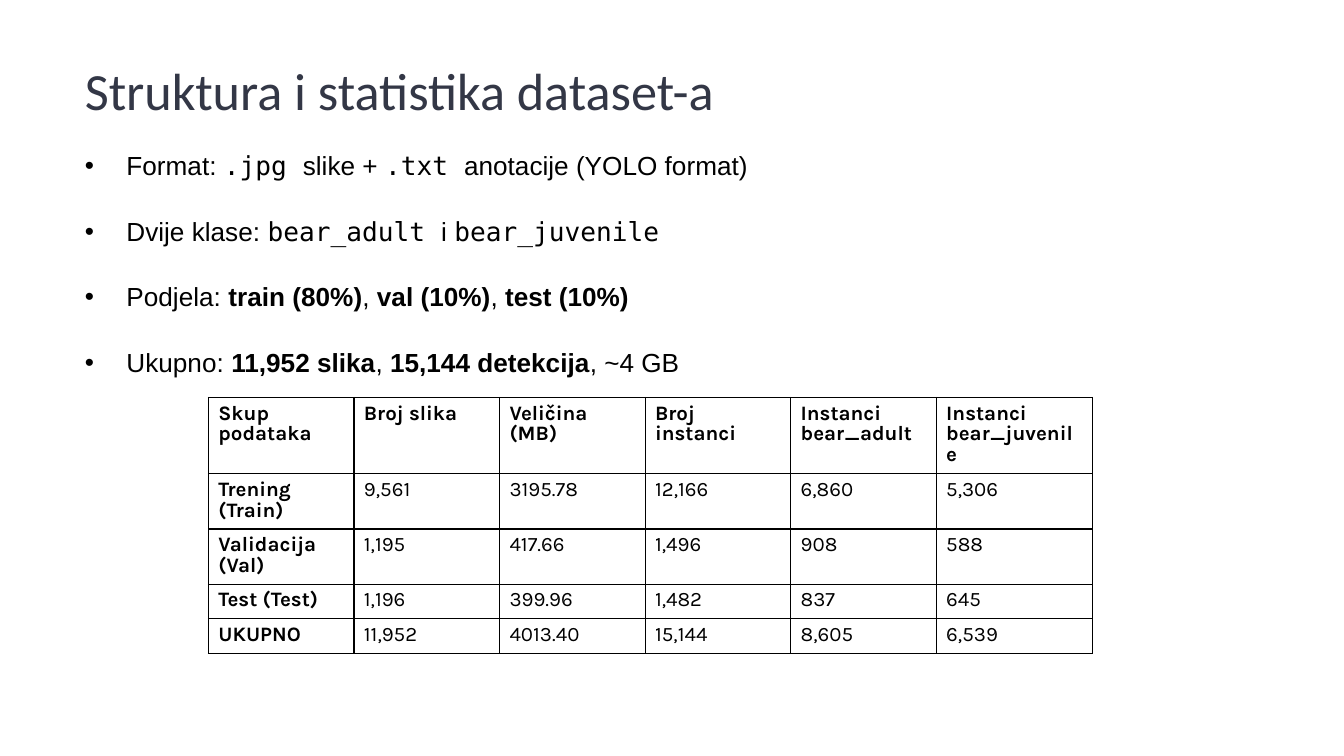
from dataclasses import dataclass
from typing import Any

from lxml.etree import SubElement
from pptx import Presentation
from pptx.dml.color import RGBColor
from pptx.enum.text import MSO_ANCHOR as Anchor, MSO_AUTO_SIZE as AutoSize, PP_ALIGN as Align
from pptx.oxml.ns import qn
from pptx.util import Pt

BLACK = RGBColor(0x00, 0x00, 0x00)
SLATE = RGBColor(0x33, 0x37, 0x46)
NBSP = chr(160)

BULLETS = [
    [("Format: ", ""), (".jpg ", "code"), ("slike + ", ""), (".txt ", "code"),
     ("anotacije (YOLO format)", "")],
    [("Dvije klase: ", ""), ("bear_adult ", "code"), ("i ", ""), ("bear_juvenile", "code")],
    [("Podjela: ", ""), ("train (80%)", "bold"), (", ", ""), ("val (10%)", "bold"),
     (", ", ""), ("test (10%)", "bold")],
    [("Ukupno: ", ""), ("11,952 slika", "bold"), (", ", ""), ("15,144 detekcija", "bold"),
     (", ~4 GB", "")],
]

STATISTICS = [
    ["Skup podataka", "Broj slika", "Veličina (MB)", "Broj instanci",
     "Instanci\nbear_adult", "Instanci\nbear_juvenile"],
    ["Trening (Train)", "9,561", "3195.78", "12,166", "6,860", "5,306"],
    ["Validacija (Val)", "1,195", "417.66", "1,496", "908", "588"],
    ["Test (Test)", "1,196", "399.96", "1,482", "837", "645"],
    ["UKUPNO", "11,952", "4013.40", "15,144", "8,605", "6,539"],
]


@dataclass
class Deck:
    slide: Any
    title_font: str = "Calibri"
    body_font: str = "Arial"
    code_font: str = "DejaVu Sans Mono"
    table_font: str = "Karla"

    def place(self, holder, left, top, width, height):
        holder.left, holder.top = Pt(left), Pt(top)
        holder.width, holder.height = Pt(width), Pt(height)
        frame = holder.text_frame
        frame.word_wrap = True
        frame.auto_size = AutoSize.NONE
        frame.vertical_anchor = Anchor.TOP
        return frame

    def run(self, paragraph, text, font, size, color=BLACK, bold=False):
        run = paragraph.add_run()
        run.text = text
        run.font.name = font
        run.font.size = Pt(size)
        run.font.bold = bold
        run.font.color.rgb = color

    def title(self, text, *box):
        frame = self.place(self.slide.shapes.title, *box)
        frame.margin_top = frame.margin_bottom = Pt(7.2)
        heading = frame.paragraphs[0]
        heading.alignment = Align.LEFT
        heading.line_spacing = 1.15
        self.run(heading, text, self.title_font, 28, SLATE)

    def bullets(self, items, *box):
        frame = self.place(self.slide.placeholders[1], *box)
        for index, parts in enumerate(items):
            item = frame.add_paragraph() if index else frame.paragraphs[0]
            item.line_spacing = 2.0
            item.space_before = Pt(0)
            item.space_after = Pt(1.5)
            self.bullet(item, 22.3)
            for text, style in parts:
                font = self.code_font if style == "code" else self.body_font
                self.run(item, text, font, 14, bold=style == "bold")

    def bullet(self, paragraph, indent):
        props = paragraph._p.get_or_add_pPr()
        props.set("marL", str(Pt(indent)))
        props.set("indent", str(-Pt(indent)))
        color = SubElement(props, qn("a:buClr"))
        SubElement(color, qn("a:srgbClr"), val=str(BLACK))
        SubElement(props, qn("a:buFont"), typeface=self.body_font)
        SubElement(props, qn("a:buChar"), char="•")

    def table(self, rows, left, top, widths, row_height):
        table = self.slide.shapes.add_table(
            len(rows), len(widths), Pt(left), Pt(top),
            Pt(sum(widths)), Pt(row_height * len(rows))).table
        table.first_row = table.horz_banding = False
        for column, width in zip(table.columns, widths):
            column.width = Pt(width)
        for r, values in enumerate(rows):
            table.rows[r].height = Pt(row_height)
            for c, value in enumerate(values):
                self.cell(table.cell(r, c), value, bold=r == 0 or c == 0)

    def cell(self, cell, value, bold):
        cell.margin_left = cell.margin_right = Pt(5.3)
        cell.margin_top = cell.margin_bottom = Pt(3.6)
        cell.vertical_anchor = Anchor.TOP
        self.borders(cell)
        cell.fill.background()
        frame = cell.text_frame
        for index, line in enumerate(value.split("\n")):
            paragraph = frame.add_paragraph() if index else frame.paragraphs[0]
            paragraph.line_spacing = Pt(11.2)
            # The closing no-break space makes the narrow headings wrap.
            self.run(paragraph, line + NBSP, self.table_font, 11, bold=bold)

    def borders(self, cell):
        props = cell._tc.get_or_add_tcPr()
        for side in ("a:lnL", "a:lnR", "a:lnT", "a:lnB"):
            line = SubElement(props, qn(side), w=str(Pt(0.75)))
            fill = SubElement(line, qn("a:solidFill"))
            SubElement(fill, qn("a:srgbClr"), val=str(BLACK))


def main():
    presentation = Presentation()
    presentation.slide_width, presentation.slide_height = Pt(720), Pt(405)
    deck = Deck(presentation.slides.add_slide(presentation.slide_layouts[1]))
    deck.title("Struktura i statistika dataset-a", 38.2, 18.7, 680, 57.6)
    deck.bullets(BULLETS, 38.2, 59.8, 547, 160)
    deck.table(STATISTICS, 111.7, 213, [78] * 5 + [83.5], 15)
    presentation.save("out.pptx")


if __name__ == "__main__":
    main()
